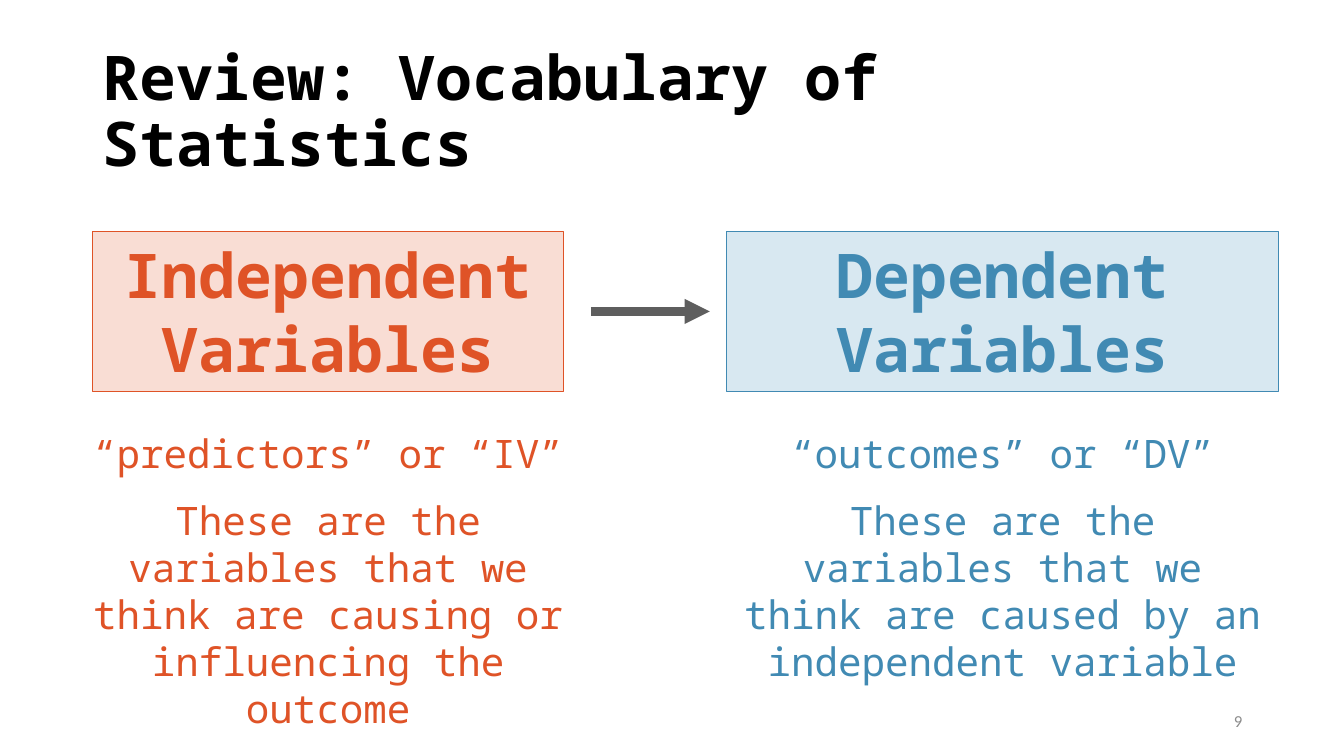
from lxml import etree
from pptx import Presentation
from pptx.dml.color import RGBColor
from pptx.enum.shapes import MSO_CONNECTOR, MSO_SHAPE
from pptx.enum.text import MSO_ANCHOR, PP_ALIGN
from pptx.oxml.ns import qn
from pptx.util import Pt

PX = 9144
MONO = "Noto Sans Mono"
SANS = "Calibri"
BLACK = RGBColor(0x00, 0x00, 0x00)
GREY = RGBColor(0x8C, 0x8C, 0x8C)
DARK = RGBColor(0x5E, 0x5E, 0x5E)
RED = RGBColor(0xDF, 0x53, 0x27)
PINK = RGBColor(0xF9, 0xDD, 0xD4)
BLUE = RGBColor(0x41, 0x8A, 0xB3)
PALE = RGBColor(0xD8, 0xE8, 0xF1)
LEFT, CENTER, RIGHT = PP_ALIGN.LEFT, PP_ALIGN.CENTER, PP_ALIGN.RIGHT
TOP, MIDDLE = MSO_ANCHOR.TOP, MSO_ANCHOR.MIDDLE
RECT = MSO_SHAPE.RECTANGLE
STRAIGHT = MSO_CONNECTOR.STRAIGHT


def scale(*sizes):
    return [size * PX for size in sizes]


def write(shape, lines, size, color, font=MONO, bold=False, align=CENTER,
          anchor=TOP, gap=0, pitch=None):
    frame = shape.text_frame
    frame.word_wrap = True
    frame.vertical_anchor = anchor
    for i, line in enumerate(lines):
        para = frame.add_paragraph() if i else frame.paragraphs[0]
        para.alignment = align
        para.line_spacing = pitch
        if i and gap:
            para.space_before = Pt(gap)
        run = para.add_run()
        run.text = line
        run.font.name = font
        run.font.size = Pt(size)
        run.font.bold = bold
        run.font.color.rgb = color


def add_text(slide, box, lines, size, color, **style):
    shape = slide.shapes.add_textbox(*scale(*box))
    write(shape, lines, size, color, **style)


def add_box(slide, box, lines, color, fill):
    shape = slide.shapes.add_shape(RECT, *scale(*box))
    shape.shadow.inherit = False
    shape.fill.solid()
    shape.fill.fore_color.rgb = fill
    shape.line.color.rgb = color
    shape.line.width = Pt(0.75)
    write(shape, lines, 44, color, bold=True)


def add_arrow(slide, start, end, color, width):
    arrow = slide.shapes.add_connector(STRAIGHT, *scale(*start, *end))
    arrow.line.color.rgb = color
    arrow.line.width = Pt(width)
    line = arrow.line._get_or_add_ln()
    etree.SubElement(line, qn("a:tailEnd"), type="triangle")
    etree.SubElement(arrow._element.spPr, qn("a:effectLst"))


def main():
    deck = Presentation()
    deck.slide_width, deck.slide_height = scale(1333, 750)
    slide = deck.slides.add_slide(deck.slide_layouts[6])

    add_text(slide, (92, 40, 1150, 145), ["Review: Vocabulary of Statistics"],
             44, BLACK, bold=True, align=LEFT, anchor=MIDDLE, pitch=0.9)

    sides = [
        (92, 467, 49, RED, PINK, ["Independent Variables"],
         ["“predictors” or “IV”",
          "These are the variables that we think are causing or "
          "influencing the outcome"]),
        (721, 547, 718, BLUE, PALE, ["Dependent", "Variables"],
         ["“outcomes” or “DV”",
          "These are the variables that we think are caused by an "
          "independent variable"]),
    ]
    for left, width, edge, color, fill, name, notes in sides:
        add_box(slide, (left, 230, width, 158), name, color, fill)
        add_text(slide, (edge, 421, 553, 266), notes, 28, color, gap=14)

    add_arrow(slide, (586, 309), (704, 309), DARK, 6)
    add_text(slide, (942, 695, 300, 40), ["9"], 12, GREY, font=SANS,
             align=RIGHT, anchor=MIDDLE)
    deck.save("out.pptx")


if __name__ == "__main__":
    main()
